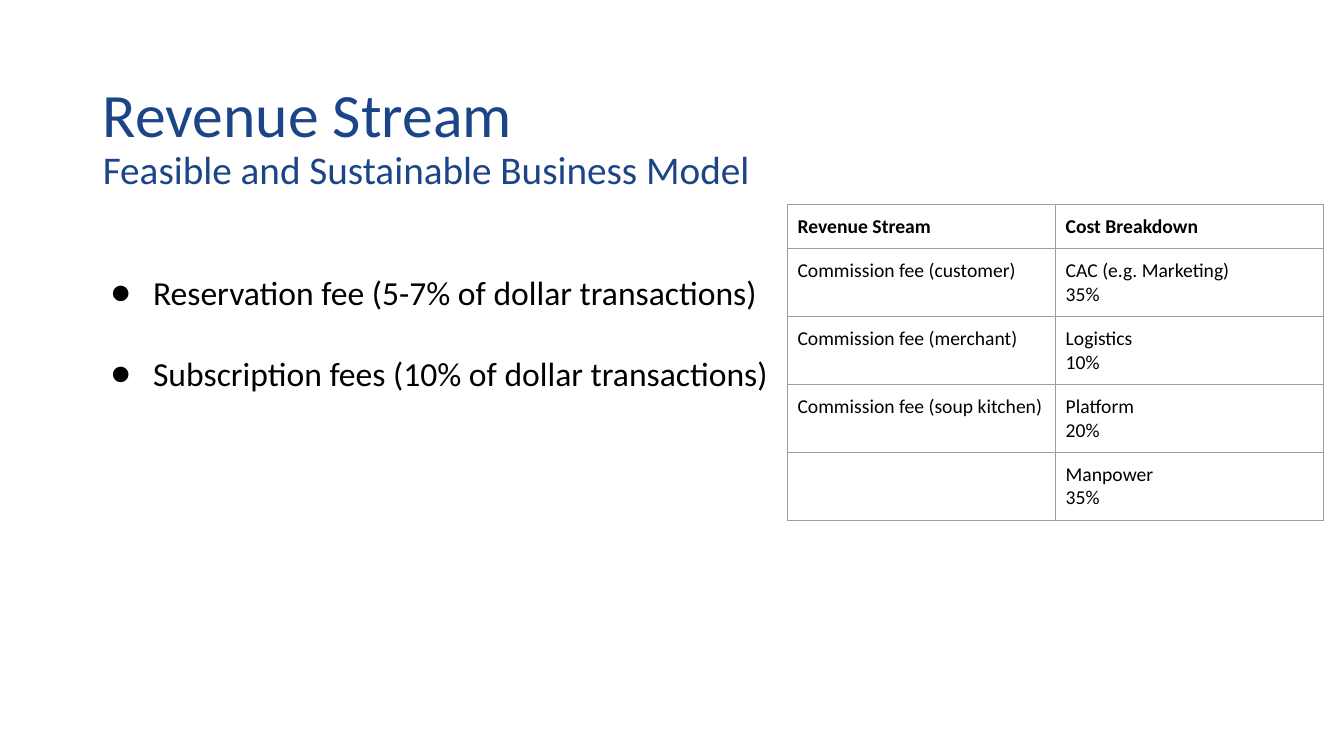
import pptx
import pptx.dml.color
import pptx.enum.text
import pptx.oxml
import pptx.oxml.ns
import pptx.util
from pptx.util import Inches

COLOURS = {"title": "1C4587", "text": "000000", "border": "9E9E9E", "page": "FFFFFF"}
FONT = "Calibri"
TITLE_LINES = [("Revenue Stream", 44), ("Feasible and Sustainable Business Model", 28)]
FEES = [
    "Reservation fee (5-7% of dollar transactions)",
    "Subscription fees (10% of dollar transactions)",
]
TABLE_ROWS = [
    ("Revenue Stream", "Cost Breakdown"),
    ("Commission fee (customer)", "CAC (e.g. Marketing)\n35%"),
    ("Commission fee (merchant)", "Logistics\n10%"),
    ("Commission fee (soup kitchen)", "Platform\n20%"),
    ("", "Manpower\n35%"),
]


def rgb(name):
    return pptx.dml.color.RGBColor.from_string(COLOURS[name])


def style_font(font, size, colour, bold=False):
    font.name = FONT
    font.size = pptx.util.Pt(size)
    font.bold = bold
    font.color.rgb = rgb(colour)


def set_frame(frame, anchor):
    """Give a text frame its wrapping, anchor and insets."""
    frame.word_wrap = True
    frame.auto_size = pptx.enum.text.MSO_AUTO_SIZE.NONE
    frame.vertical_anchor = anchor
    frame.margin_left = frame.margin_right = Inches(0.1)
    frame.margin_top = frame.margin_bottom = Inches(0.05)


def add_xml(parent, markup):
    namespace = pptx.oxml.ns.nsdecls("a")
    parent.append(pptx.oxml.parse_xml(markup.replace(" ", f" {namespace} ", 1)))


def place_title(page, left, top, width, height):
    title = page.shapes.title
    title.left, title.top, title.width, title.height = left, top, width, height
    frame = title.text_frame
    frame.text = "\n".join(line for line, size in TITLE_LINES)
    set_frame(frame, pptx.enum.text.MSO_ANCHOR.MIDDLE)
    for para, (line, size) in zip(frame.paragraphs, TITLE_LINES):
        para.alignment = pptx.enum.text.PP_ALIGN.LEFT
        para.line_spacing = 0.9
        style_font(para.runs[0].font, size, "title")


def add_fee_list(page, left, top, width, height):
    frame = page.shapes.add_textbox(left, top, width, height).text_frame
    frame.text = "\n".join(FEES)
    set_frame(frame, pptx.enum.text.MSO_ANCHOR.TOP)
    for para in frame.paragraphs:
        properties = para._p.get_or_add_pPr()
        properties.set("marL", str(Inches(0.5)))
        properties.set("indent", str(Inches(-0.42)))
        add_xml(properties, f'<a:buClr ><a:srgbClr val="{COLOURS["text"]}"/></a:buClr>')
        add_xml(properties, f'<a:buFont typeface="{FONT}"/>')
        add_xml(properties, '<a:buChar char="●"/>')
        para.line_spacing = 2.0
        style_font(para.runs[0].font, 24, "text")


def format_cell(cell, bold):
    cell.margin_left = cell.margin_right = Inches(0.1)
    cell.margin_top = cell.margin_bottom = Inches(0.1)
    for side in ("lnL", "lnR", "lnT", "lnB"):
        add_xml(
            cell._tc.get_or_add_tcPr(),
            f'<a:{side} w="{pptx.util.Pt(0.75)}"><a:solidFill>'
            f'<a:srgbClr val="{COLOURS["border"]}"/></a:solidFill></a:{side}>',
        )
    cell.fill.background()
    for para in cell.text_frame.paragraphs:
        for span in para.runs or [para]:
            style_font(span.font, 14, "text", bold)


def add_cost_table(page, left, top, width, header_height, row_height):
    row_count, column_count = len(TABLE_ROWS), len(TABLE_ROWS[0])
    height = header_height + row_height * (row_count - 1)
    table = page.shapes.add_table(
        row_count, column_count, left, top, width, height
    ).table
    table.first_row = table.horz_banding = False
    for row_index, texts in enumerate(TABLE_ROWS):
        is_header = row_index == 0
        table.rows[row_index].height = header_height if is_header else row_height
        for column_index, text in enumerate(texts):
            cell = table.cell(row_index, column_index)
            cell.text = text
            format_cell(cell, is_header)


def main():
    deck = pptx.Presentation()
    deck.slide_width, deck.slide_height = Inches(13.33), Inches(7.5)
    page = deck.slides.add_slide(deck.slide_layouts[5])
    page.background.fill.solid()
    page.background.fill.fore_color.rgb = rgb("page")
    place_title(page, Inches(0.92), Inches(0.5), Inches(6.73), Inches(1.75))
    add_fee_list(page, Inches(0.92), Inches(2.25), Inches(7.06), Inches(4.1))
    add_cost_table(
        page, Inches(7.81), Inches(2.03), Inches(5.32), Inches(0.43), Inches(0.67)
    )
    deck.save("out.pptx")


if __name__ == "__main__":
    main()
